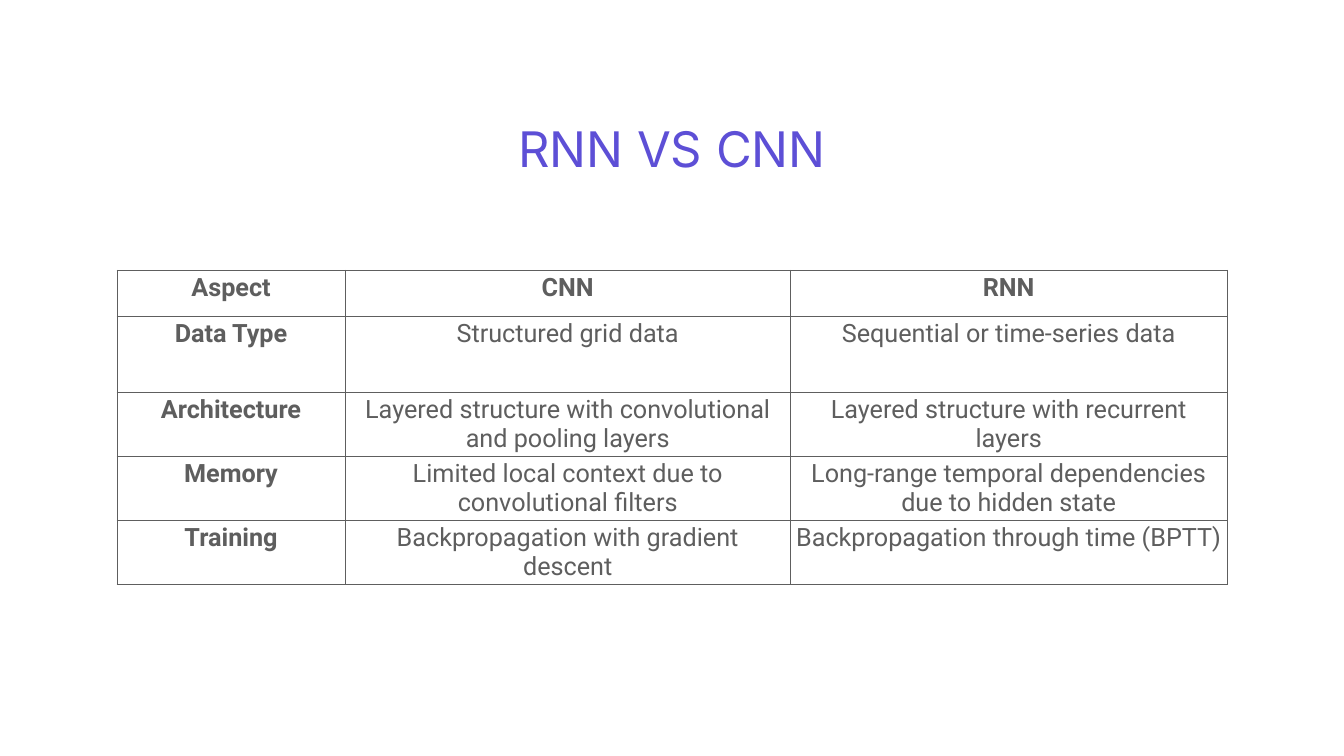
"""Build a slide that compares RNN and CNN in a bordered table."""
from dataclasses import dataclass

from lxml import etree
from pptx import Presentation
from pptx.dml.color import RGBColor
from pptx.enum.text import MSO_ANCHOR, MSO_AUTO_SIZE, PP_ALIGN
from pptx.oxml.ns import qn
from pptx.util import Pt

CENTER = PP_ALIGN.CENTER
TOP, BOTTOM = MSO_ANCHOR.TOP, MSO_ANCHOR.BOTTOM
NO_AUTOFIT = MSO_AUTO_SIZE.NONE
TITLE_ONLY = 5
COLORS = {"title": "5D4FD6", "text": "5E5E5E", "border": "5E5E5E", "page": "FFFFFF"}
BORDER_WIDTH = Pt(1)
BORDER_SIDES = ("a:lnL", "a:lnR", "a:lnT", "a:lnB")
COLUMN_WIDTHS = (326.16, 635.76, 624.24)


@dataclass
class Comparison:
    aspect: str
    cnn: str
    rnn: str
    height: float = 91.5
    header: bool = False


COMPARISONS = [
    Comparison("Aspect", "CNN", "RNN", 66.24, True),
    Comparison("Data Type", "Structured grid data", "Sequential or time-series data", 108),
    Comparison("Architecture", "Layered structure with convolutional and pooling layers",
               "Layered structure with recurrent layers"),
    Comparison("Memory", "Limited local context due to convolutional filters",
               "Long-range temporal dependencies due to hidden state"),
    Comparison("Training", "Backpropagation with gradient descent",
               "Backpropagation through time (BPTT)"),
]


def apply(target: object, values: dict) -> None:
    """Set every named attribute on the target."""
    for name, value in values.items():
        setattr(target, name, value)


def write(frame: object, text: str, color: str, font: dict) -> None:
    """Put one centred, formatted span in a text frame."""
    para = frame.paragraphs[0]
    para.alignment = CENTER
    span = para.add_run()
    span.text = text
    apply(span.font, font)
    span.font.color.rgb = RGBColor.from_string(COLORS[color])


def add_borders(cell: object) -> None:
    """Draw a thin line on each side of a cell."""
    properties = cell._tc.get_or_add_tcPr()
    for position, side in enumerate(BORDER_SIDES):
        line = etree.Element(qn(side), w=str(int(BORDER_WIDTH)))
        fill = etree.SubElement(line, qn("a:solidFill"))
        etree.SubElement(fill, qn("a:srgbClr"), val=COLORS["border"])
        properties.insert(position, line)


def add_title(page: object) -> None:
    """Place and format the title."""
    box = page.shapes.title
    apply(box, {"left": Pt(95), "top": Pt(118), "width": Pt(1730), "height": Pt(140.4)})
    margins = {f"margin_{side}": Pt(4.5) for side in ("left", "right", "top", "bottom")}
    apply(box.text_frame, {"word_wrap": True, "auto_size": NO_AUTOFIT,
                           "vertical_anchor": BOTTOM, **margins})
    write(box.text_frame, "RNN VS CNN", "title",
          {"name": "Inter", "size": Pt(70), "bold": False})


def add_comparison_table(page: object) -> None:
    """Fill the comparison table row by row."""
    table = page.shapes.add_table(
        len(COMPARISONS), len(COLUMN_WIDTHS), Pt(167), Pt(386),
        Pt(sum(COLUMN_WIDTHS)), Pt(sum(item.height for item in COMPARISONS))).table
    apply(table, {"first_row": False, "horz_banding": False})
    for column, width in zip(table.columns, COLUMN_WIDTHS):
        column.width = Pt(width)
    for row, item in zip(table.rows, COMPARISONS):
        row.height = Pt(item.height)
        for index, text in enumerate((item.aspect, item.cnn, item.rnn)):
            cell = row.cells[index]
            cell.vertical_anchor = TOP
            cell.fill.background()
            write(cell.text_frame, text, "text",
                  {"name": "Roboto", "size": Pt(36), "bold": item.header or index == 0})
            add_borders(cell)


def main() -> None:
    """Create the deck and save it."""
    deck = Presentation()
    apply(deck, {"slide_width": Pt(1920), "slide_height": Pt(1080)})
    page = deck.slides.add_slide(deck.slide_layouts[TITLE_ONLY])
    page.background.fill.solid()
    page.background.fill.fore_color.rgb = RGBColor.from_string(COLORS["page"])
    add_title(page)
    add_comparison_table(page)
    deck.save("out.pptx")


main()
